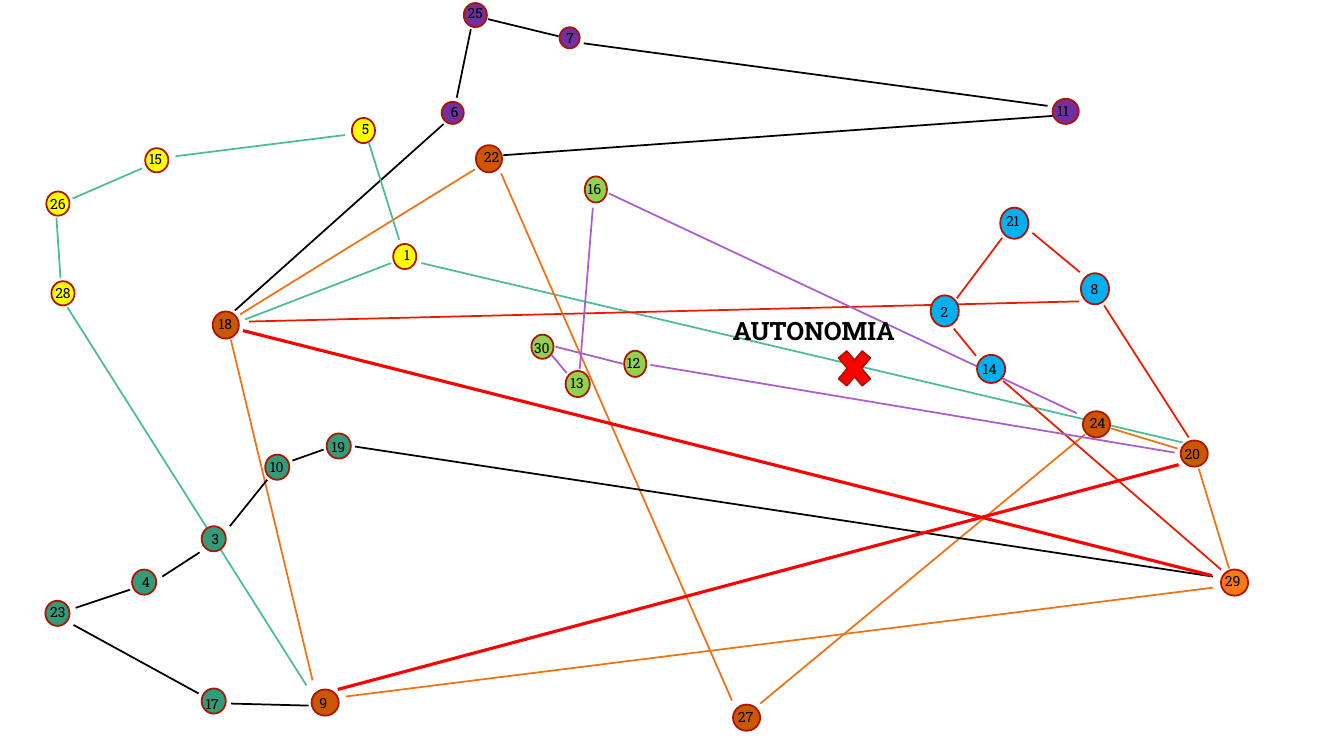
from pptx import Presentation, util as u
from pptx.dml.color import RGBColor
from pptx.enum import shapes, text
from pptx.oxml.ns import qn
from lxml import etree

PX = 9144  # 100 px to the inch
THEME = {
    "font": "Roboto Slab", "number": 10, "title": 18, "thin": 1.25, "thick": 2.25,
    "ink": "000000", "outline": "AF1301", "cross": "FF0000",
    "green": "349B7A", "yellow": "FFFF00", "purple": "7030A0", "lime": "92D050",
    "blue": "00B0F0", "amber": "FC7715", "brown": "CA5703",
    "mint": "4CBB98", "red": "ED1A02", "violet": "AD5CCB", "orange": "F17214",
}

deck = Presentation()
deck.slide_width, deck.slide_height = 1333 * PX, 750 * PX
canvas = deck.slides.add_slide(deck.slide_layouts[6]).shapes


def color(name):
    return RGBColor.from_string(THEME[name])


def write(words, left, top, width, height, size, bold=None):
    label = canvas.add_textbox(left * PX, top * PX, width * PX, height * PX)
    frame = label.text_frame
    frame.word_wrap = True
    frame.auto_size = text.MSO_AUTO_SIZE.SHAPE_TO_FIT_TEXT
    frame.margin_right = 0
    run = frame.paragraphs[0].add_run()
    run.text = words
    run.font.name, run.font.size, run.font.bold = THEME["font"], u.Pt(THEME[size]), bold
    run.font.color.rgb = color("ink")


# Links behind the nodes: colour, weight, (x1, y1, x2, y2)
back_links = [
    ("mint", "thin", [(1173, 439, 418, 261), (67, 305, 304, 680)]),
    ("red", "thin", [(1070, 299, 247, 319)]),
    ("violet", "thin", [(604, 192, 1068, 410)]),
]

# Links in front of the nodes
front_links = [
    ("orange", "thin", [
        (1189, 465, 1219, 564), (1102, 425, 1168, 445), (754, 698, 1076, 431),
        (497, 172, 726, 695), (471, 168, 238, 312), (229, 337, 310, 675),
        (343, 691, 1203, 583)]),
    ("red", "thin", [
        (995, 378, 1211, 565), (946, 326, 968, 353), (994, 236, 949, 296),
        (1024, 231, 1071, 270), (1095, 303, 1179, 434)]),
    ("violet", "thin", [
        (645, 362, 1165, 449), (551, 344, 618, 361), (547, 352, 562, 370),
        (588, 206, 575, 366)]),
    ("ink", "thin", [
        (499, 154, 1044, 115), (579, 43, 1039, 105), (484, 19, 554, 36),
        (467, 29, 453, 97), (233, 308, 440, 123), (73, 620, 197, 688),
        (229, 698, 306, 700), (75, 603, 129, 585), (161, 572, 198, 548),
        (228, 522, 265, 476), (290, 457, 321, 446), (352, 443, 1203, 572)]),
    ("mint", "thin", [
        (243, 317, 388, 261), (396, 238, 366, 142), (174, 155, 342, 134),
        (72, 197, 141, 167), (56, 216, 60, 276)]),
    ("cross", "thick", [(241, 328, 1202, 571), (335, 684, 1169, 461)]),
]

# Nodes by colour: number, left, top, width, height, then number's left, top, width
nodes = {
    "green": [
        ("17", 200, 683, 24, 25, 194, 685, 36), ("23", 45, 596, 24, 25, 40, 594, 36),
        ("4", 131, 565, 24, 25, 131, 564, 36), ("3", 200, 522, 24, 25, 200, 521, 36),
        ("10", 263, 451, 24, 25, 258, 450, 36), ("19", 324, 430, 24, 25, 319, 430, 36)],
    "yellow": [
        ("1", 390, 242, 23, 25, 391, 240, 34), ("5", 349, 117, 23, 25, 349, 115, 34),
        ("15", 144, 147, 23, 24, 138, 144, 36), ("26", 46, 190, 23, 24, 40, 189, 36),
        ("28", 51, 279, 23, 24, 45, 277, 36)],
    "purple": [
        ("6", 438, 101, 22, 22, 437, 98, 34), ("25", 460, 3, 23, 24, 454, 0, 36),
        ("7", 555, 27, 20, 21, 552, 24, 36), ("11", 1044, 98, 26, 25, 1039, 97, 36)],
    "lime": [
        ("16", 580, 175, 22, 26, 573, 174, 36), ("13", 561, 368, 24, 26, 556, 367, 36),
        ("30", 527, 332, 22, 24, 520, 332, 36), ("12", 619, 348, 22, 26, 612, 347, 36)],
    "blue": [
        ("8", 1072, 271, 28, 31, 1072, 273, 36), ("21", 992, 206, 28, 31, 988, 206, 36),
        ("2", 923, 293, 28, 31, 923, 296, 36), ("14", 969, 352, 28, 28, 965, 353, 36)],
    "amber": [("29", 1211, 565, 27, 26, 1205, 563, 47)],
    "brown": [
        ("20", 1171, 437, 27, 26, 1165, 437, 50), ("24", 1074, 408, 27, 26, 1071, 406, 52),
        ("27", 727, 699, 27, 26, 722, 698, 37), ("9", 309, 684, 27, 26, 307, 684, 28),
        ("22", 472, 144, 26, 27, 470, 142, 45), ("18", 211, 309, 26, 27, 207, 308, 44)],
}


def draw_links(groups):
    for shade, weight, ends in groups:
        for end in ends:
            link = canvas.add_connector(shapes.MSO_CONNECTOR.STRAIGHT, *(v * PX for v in end))
            link.line.color.rgb = color(shade)
            link.line.width = u.Pt(THEME[weight])
            etree.SubElement(link._element.spPr, qn("a:effectLst"))


draw_links(back_links)

# Node circles, then the cross once the front links are down
circle, cross = shapes.MSO_SHAPE.OVAL, shapes.MSO_SHAPE.MATH_MULTIPLY
marks = [(circle, shade, node[1:5]) for shade, group in nodes.items() for node in group]
marks.append((cross, "cross", (825, 339, 45, 53)))
for kind, shade, box in marks:
    if kind == cross:
        draw_links(front_links)
    mark = canvas.add_shape(kind, *(v * PX for v in box))
    mark.shadow.inherit = False
    mark.fill.solid()
    mark.fill.fore_color.rgb = color(shade)
    mark.line.color.rgb = color("outline")
    mark.line.width = u.Pt(THEME["thin"])

# Node numbers
for group in nodes.values():
    for number, *_, left, top, width in group:
        write(number, left, top, width, 27, "number")

# Title of the marked point
write("AUTONOMIA", 717, 308, 197, 40, "title", True)

deck.save("out.pptx")
